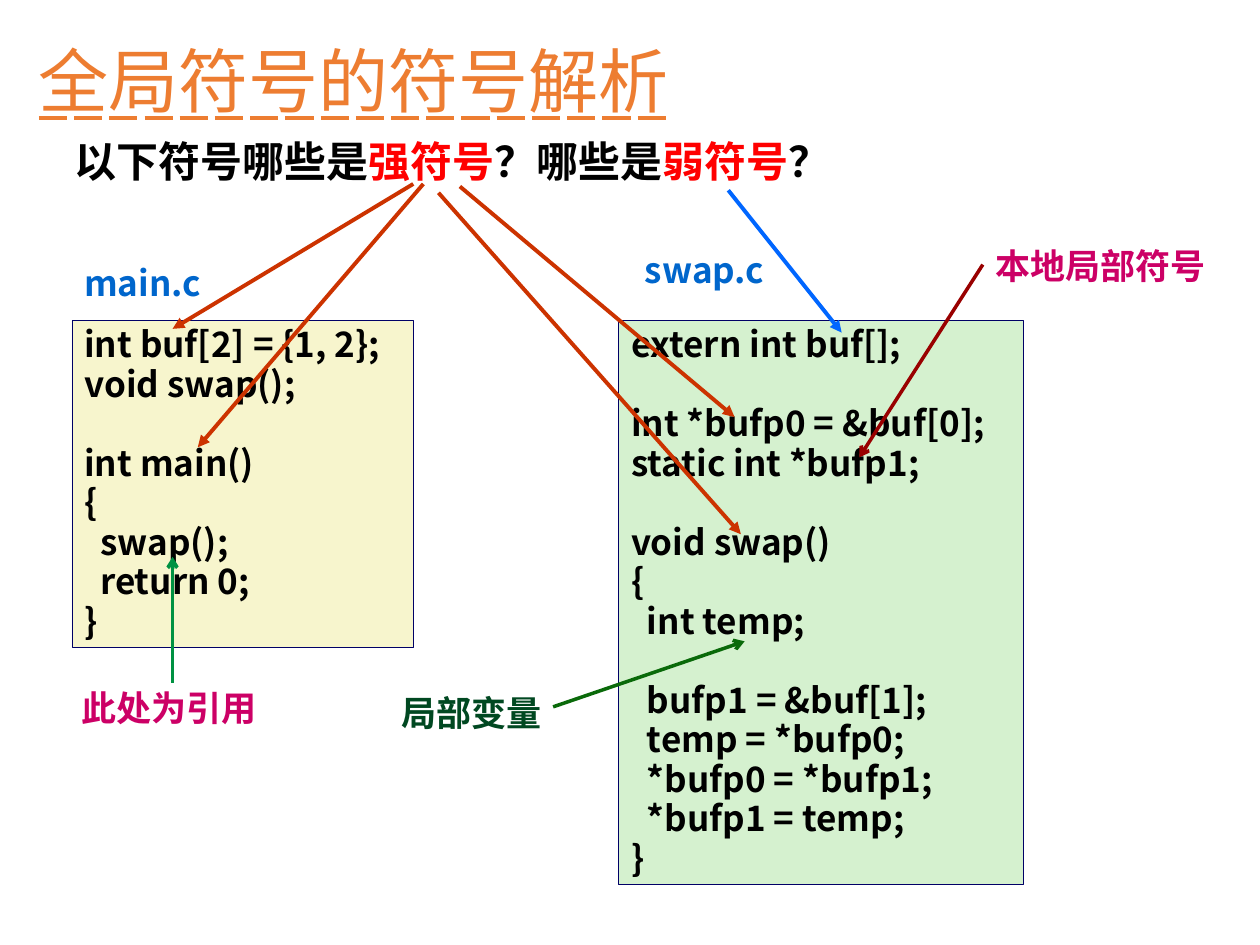
from pptx import Presentation
from pptx.dml.color import RGBColor
from pptx.enum.shapes import MSO_CONNECTOR, MSO_SHAPE
from pptx.enum.text import MSO_ANCHOR, MSO_AUTO_SIZE, MSO_UNDERLINE, PP_ALIGN
from pptx.oxml.ns import qn
from pptx.util import Pt
from lxml import etree

PX = 9144  # EMU per px, 100 px to the inch
FONT = "Noto Sans CJK SC"
STRAIGHT = MSO_CONNECTOR.STRAIGHT
RECTANGLE = MSO_SHAPE.RECTANGLE
TOP = MSO_ANCHOR.TOP
FIT_SHAPE = MSO_AUTO_SIZE.SHAPE_TO_FIT_TEXT
LONG_DASH = MSO_UNDERLINE.DASH_LONG_LINE
LEFT, RIGHT = PP_ALIGN.LEFT, PP_ALIGN.RIGHT

BLACK = RGBColor(0x00, 0x00, 0x00)
RED = RGBColor(0xFF, 0x00, 0x00)
ORANGE = RGBColor(0xED, 0x7D, 0x31)
NAVY = RGBColor(0x00, 0x00, 0x66)
FILE_BLUE = RGBColor(0x00, 0x66, 0xCC)
CREAM = RGBColor(0xF7, 0xF5, 0xCD)
MINT = RGBColor(0xD5, 0xF1, 0xCF)
MAGENTA = RGBColor(0xCC, 0x00, 0x66)
DEEP_GREEN = RGBColor(0x00, 0x48, 0x21)
REFERENCE_GREEN = RGBColor(0x00, 0x92, 0x42)
LOCAL_GREEN = RGBColor(0x0A, 0x6A, 0x0A)
DARK_RED = RGBColor(0x99, 0x00, 0x00)
STRONG = RGBColor(0xCC, 0x33, 0x00)
WEAK = RGBColor(0x00, 0x66, 0xFF)

MAIN_CODE = """int buf[2] = {1, 2};
void swap();

int main()
{
  swap();
  return 0;
}"""

SWAP_CODE = """extern int buf[];

int *bufp0 = &buf[0];
static int *bufp1;

void swap()
{
  int temp;

  bufp1 = &buf[1];
  temp = *bufp0;
  *bufp0 = *bufp1;
  *bufp1 = temp;
}"""


def emu(lengths):
    return [length * PX for length in lengths]


def write(shape, lines, size=20, color=BLACK, bold=True, underline=None,
          align=LEFT, spacing=None, wrap=True):
    """Fill a shape; each line is a list of (text, colour or None) parts."""
    frame = shape.text_frame
    frame.word_wrap = wrap
    frame.auto_size = FIT_SHAPE
    frame.vertical_anchor = TOP
    for number, parts in enumerate(lines):
        paragraph = frame.add_paragraph() if number else frame.paragraphs[0]
        paragraph.alignment = align
        paragraph.line_spacing = spacing
        for text, part_color in parts:
            if not text:  # an empty line of code keeps the text height
                paragraph._p.get_or_add_endParaRPr().set("sz", str(size * 100))
                continue
            run = paragraph.add_run()
            run.text = text
            font = run.font
            font.size, font.bold, font.name = Pt(size), bold, FONT
            font.underline = underline
            font.color.rgb = part_color or color
            etree.SubElement(run._r.rPr, qn("a:ea"), typeface=FONT)


def label(slide, box, text, **text_format):
    write(slide.shapes.add_textbox(*emu(box)), [[(text, None)]], **text_format)


def arrow(slide, start, end, color, width=2.25, head="triangle"):
    connector = slide.shapes.add_connector(STRAIGHT, *emu(start + end))
    connector.line.color.rgb = color
    connector.line.width = Pt(width)
    etree.SubElement(connector.line._get_or_add_ln(), qn("a:tailEnd"), type=head)
    etree.SubElement(connector._element.spPr, qn("a:effectLst"))


def heading(slide, box):
    left, top, width, height = box
    label(slide, (left, top, width, height), "全局符号的符号解析",
          size=40, color=ORANGE, bold=False, underline=LONG_DASH)
    question = slide.shapes.add_textbox(*emu((left + 28, top + 78, 697, 50)))
    write(question, [[("以下符号哪些是", None), ("强符号", RED), ("？哪些是", None),
                      ("弱符号", RED), ("？", None)]], size=24)


def code_panel(slide, box, code, fill, file_name, name_offset):
    left, top, width, height = box
    panel = slide.shapes.add_shape(RECTANGLE, *emu(box))
    panel.shadow.inherit = False
    panel.fill.solid()
    panel.fill.fore_color.rgb = fill
    panel.line.color.rgb = NAVY
    panel.line.width = Pt(0.25)
    write(panel, [[(line, None)] for line in code.split("\n")],
          spacing=0.94, wrap=False)
    across, up = name_offset
    label(slide, (left + across, top - up, 140, 41), file_name,
          color=FILE_BLUE, spacing=0.94)


def annotation(slide, box, text, color, start, reach, arrow_color,
               align=LEFT, wrap=False):
    """A label and its arrow; start is relative to the box, reach to start."""
    label(slide, box, text, color=color, align=align, wrap=wrap)
    x, y = box[0] + start[0], box[1] + start[1]
    arrow(slide, (x, y), (x + reach[0], y + reach[1]), arrow_color,
          width=2, head="arrow")


def symbol_arrows(slide):
    strong_links = [
        ((336, 146), (157, 355)),  # main
        ((328, 146), (137, 261)),  # buf
        ((365, 148), (583, 331)),  # bufp0
        ((348, 153), (588, 424)),  # swap
    ]
    for start, end in strong_links:
        arrow(slide, start, end, STRONG)
    arrow(slide, (578, 151), (668, 264), WEAK)


def main():
    deck = Presentation()
    deck.slide_width, deck.slide_height = emu((1000, 750))
    slide = deck.slides.add_slide(deck.slide_layouts[6])

    # Source files
    code_panel(slide, (57, 254, 271, 260), MAIN_CODE, CREAM, "main.c", (0, 49))
    code_panel(slide, (491, 254, 321, 448), SWAP_CODE, MINT, "swap.c", (11, 59))

    # Remarks on single symbols
    annotation(slide, (55, 540, 159, 43), "此处为引用", MAGENTA,
               (82, 2), (0, -100), REFERENCE_GREEN)
    annotation(slide, (780, 189, 192, 43), "本地局部符号", MAGENTA,
               (0, 21), (-98, 153), DARK_RED, wrap=True)
    annotation(slide, (309, 544, 131, 43), "局部变量", DEEP_GREEN,
               (130, 17), (152, -52), LOCAL_GREEN, align=RIGHT)

    # Title, question and its answers
    heading(slide, (21, 25, 868, 77))
    symbol_arrows(slide)

    deck.save("out.pptx")


if __name__ == "__main__":
    main()
